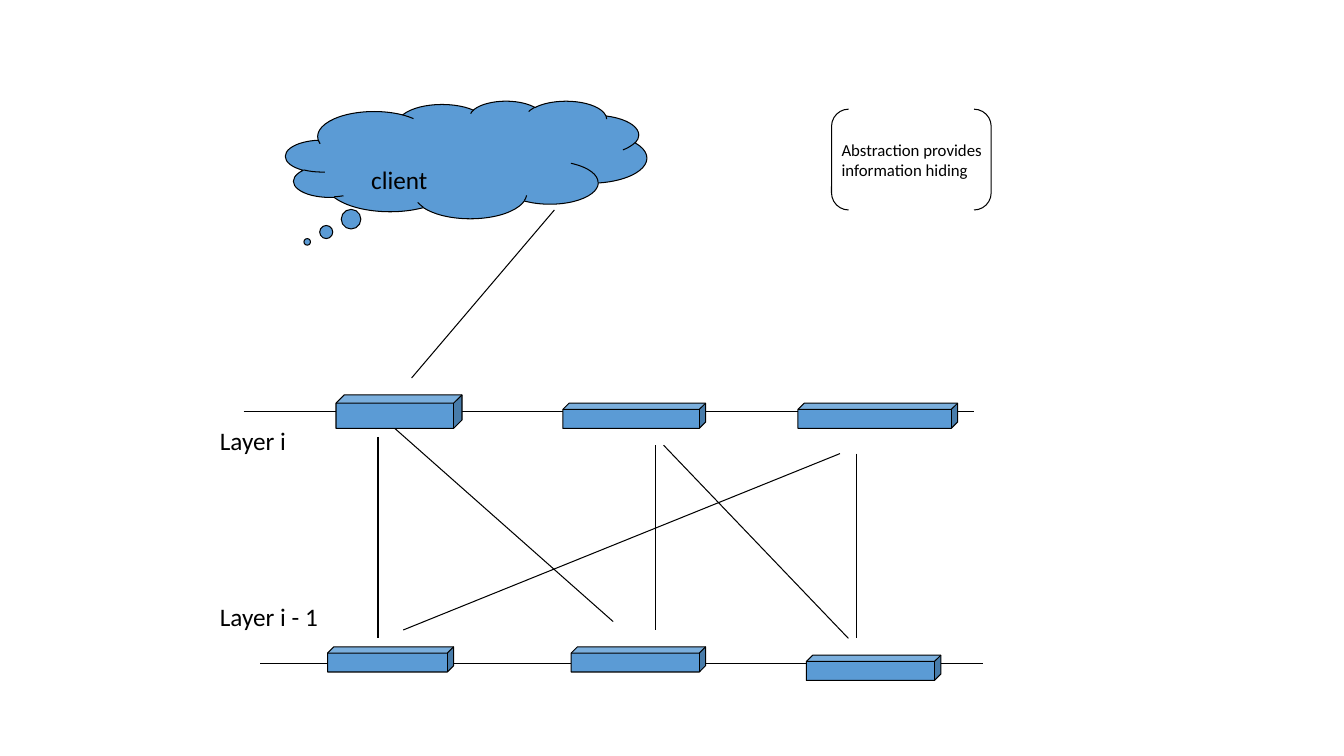
from lxml import etree
from pptx import Presentation
from pptx.dml.color import RGBColor
from pptx.enum.shapes import MSO_CONNECTOR, MSO_SHAPE
from pptx.enum.text import MSO_AUTO_SIZE
from pptx.oxml.ns import qn
from pptx.util import Pt

CLOUD = MSO_SHAPE.CLOUD_CALLOUT
CUBE = MSO_SHAPE.CUBE
BRACKET = MSO_SHAPE.DOUBLE_BRACKET
LINE = MSO_CONNECTOR.STRAIGHT
GROW = MSO_AUTO_SIZE.SHAPE_TO_FIT_TEXT
BLUE, BLACK = "5B9BD5", "000000"
FONT = {"name": "Calibri", "bold": False}

LAYERS = [(174, 294, 696), (186, 474, 702)]
CUBES = [
    (240, 282, 90, 24), (402, 288, 102, 18), (570, 288, 114, 18),
    (234, 462, 90, 18), (408, 462, 96, 18), (576, 468, 96, 18),
]
LINKS = [
    (282, 306, 438, 444), (270, 312, 270, 456), (468, 318, 468, 450),
    (600, 324, 288, 450), (612, 324, 612, 456), (396, 150, 294, 270),
    (606, 456, 474, 318),
]
LABELS = [
    ("client", 258, 114, 84, 29, 18),
    ("Layer i", 150, 300, 132, 29, 18),
    ("Layer i - 1", 150, 426, 174, 29, 18),
    ("Abstraction provides information hiding", 594, 96, 168, 36, 12),
]


def paint(part, color):
    """Give a fill or font colour format a solid hex colour."""
    part.rgb = RGBColor.from_string(color)


def stroke(line):
    """Set the thin black outline."""
    line.width = Pt(0.75)
    paint(line.color, BLACK)


def add_form(slide, kind, box, adjust, fill=None):
    """Add an outlined preset shape."""
    form = slide.shapes.add_shape(kind, *map(Pt, box))
    form.shadow.inherit = False
    for i, value in enumerate(adjust):
        form.adjustments[i] = value
    if fill:
        form.fill.solid()
        paint(form.fill.fore_color, fill)
    else:
        form.fill.background()
    stroke(form.line)


def add_link(slide, *ends):
    """Add a straight line between two points."""
    link = slide.shapes.add_connector(LINE, *map(Pt, ends))
    stroke(link.line)
    etree.SubElement(link._element.spPr, qn("a:effectLst"))


def add_label(slide, text, left, top, width, height, size):
    """Add a wrapped text box."""
    box = slide.shapes.add_textbox(*map(Pt, (left, top, width, height)))
    frame = box.text_frame
    frame.word_wrap = True
    frame.auto_size = GROW
    frame.text = text
    font = frame.paragraphs[0].runs[0].font
    for key, value in {**FONT, "size": Pt(size)}.items():
        setattr(font, key, value)
    paint(font.color, BLACK)


def main():
    """Build the layer diagram and save it."""
    deck = Presentation()
    deck.slide_width, deck.slide_height = Pt(960), Pt(540)
    slide = deck.slides.add_slide(deck.slide_layouts[6])
    add_form(slide, CLOUD, (204, 72, 258, 84), (-0.44, 0.7), BLUE)
    for left, y, right in LAYERS:
        add_link(slide, left, y, right, y)
    for box in CUBES:
        add_form(slide, CUBE, box, (0.25,), BLUE)
    for ends in LINKS:
        add_link(slide, *ends)
    add_form(slide, BRACKET, (594, 78, 114, 72), (0.17,))
    for label in LABELS:
        add_label(slide, *label)
    deck.save("out.pptx")


if __name__ == "__main__":
    main()
